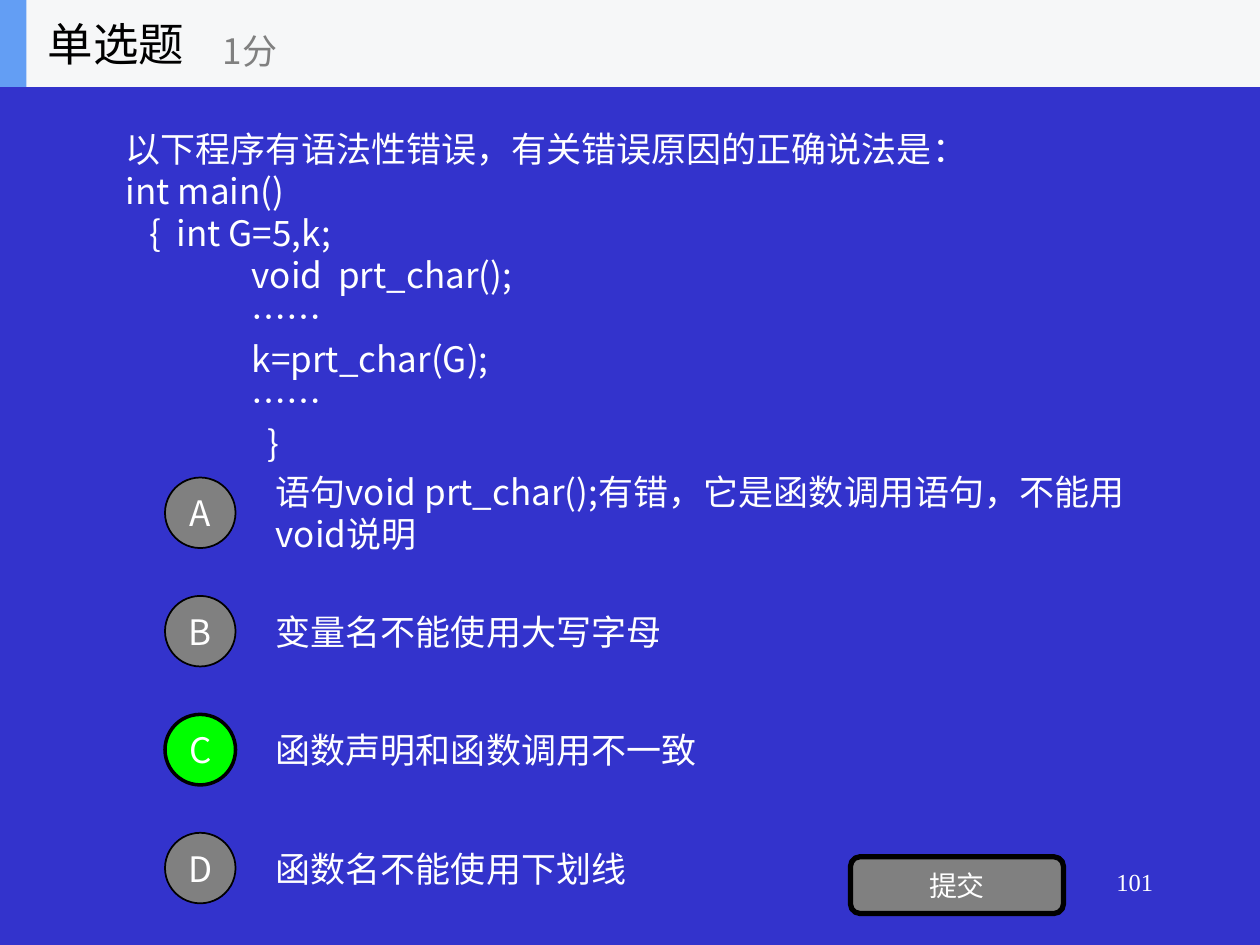
from dataclasses import dataclass

from lxml import etree
from pptx import Presentation
from pptx.dml.color import RGBColor
from pptx.enum.shapes import MSO_SHAPE
from pptx.enum.text import MSO_ANCHOR, PP_ALIGN
from pptx.oxml.ns import qn
from pptx.util import Inches, Pt

OVAL, RECT, ROUND = MSO_SHAPE.OVAL, MSO_SHAPE.RECTANGLE, MSO_SHAPE.ROUNDED_RECTANGLE
LEFT, CENTER, RIGHT = PP_ALIGN.LEFT, PP_ALIGN.CENTER, PP_ALIGN.RIGHT
TOP, MIDDLE = MSO_ANCHOR.TOP, MSO_ANCHOR.MIDDLE

BLUE = RGBColor(0x33, 0x33, 0xCC)
WHITE = RGBColor(0xFF, 0xFF, 0xFF)
BLACK = RGBColor(0, 0, 0)
GRAY = RGBColor(0x80, 0x80, 0x80)
GREEN = RGBColor(0, 0xFF, 0)
PALE = RGBColor(0xF6, 0xF7, 0xF8)
SKY = RGBColor(0x63, 0x9E, 0xF4)
SANS, SERIF = "Noto Sans CJK SC", "Times New Roman"


@dataclass
class Box:
    x: float
    y: float
    w: float
    h: float

    def lengths(self) -> tuple:
        return tuple(Inches(v) for v in (self.x, self.y, self.w, self.h))


@dataclass
class Style:
    size: int = 20
    color: RGBColor = WHITE
    face: str = SANS
    align: PP_ALIGN = LEFT
    anchor: MSO_ANCHOR = MIDDLE


@dataclass
class Line:
    text: str
    indent: float = 0


@dataclass
class Choice:
    key: str
    text: str
    right: bool = False


PROMPT = [
    Line("以下程序有语法性错误，有关错误原因的正确说法是："),
    Line("int main()"),
    Line("   {  int G=5,k;"),
    Line("void  prt_char();", 1),
    Line("……", 1),
    Line("k=prt_char(G);", 1),
    Line("……", 1),
    Line("  }", 1),
]
CHOICES = [
    Choice("A", "语句void prt_char();有错，它是函数调用语句，不能用void说明"),
    Choice("B", "变量名不能使用大写字母"),
    Choice("C", "函数声明和函数调用不一致", True),
    Choice("D", "函数名不能使用下划线"),
]
STEP = 0.94


def write(frame, lines: list[Line], style: Style) -> None:
    frame.word_wrap = True
    frame.vertical_anchor = style.anchor
    for i, line in enumerate(lines):
        para = frame.add_paragraph() if i else frame.paragraphs[0]
        para.text = line.text
        para.alignment = style.align
        para.line_spacing = Pt(style.size * 1.2)
        if line.indent:
            para._p.get_or_add_pPr().set("marL", str(Inches(line.indent)))
        font = para.font
        font.size = Pt(style.size)
        font.color.rgb = style.color
        font.name = style.face
        etree.SubElement(font._element, qn("a:ea")).set("typeface", style.face)


def label(slide, box: Box, lines: list[Line], style: Style) -> None:
    write(slide.shapes.add_textbox(*box.lengths()).text_frame, lines, style)


def block(slide, kind: MSO_SHAPE, box: Box, fill: RGBColor, edge: int = 0):
    """Add a filled shape; edge is the black outline in points, 0 for none."""
    shape = slide.shapes.add_shape(kind, *box.lengths())
    shape.shadow.inherit = False
    shape.fill.solid()
    shape.fill.fore_color.rgb = fill
    if edge:
        shape.line.color.rgb = BLACK
        shape.line.width = Pt(edge)
    else:
        shape.line.fill.background()
    return shape


def button(slide, kind: MSO_SHAPE, box: Box, fill: RGBColor, edge: int,
           text: str, size: int) -> None:
    frame = block(slide, kind, box, fill, edge).text_frame
    frame.margin_left = frame.margin_right = 0
    frame.margin_top = frame.margin_bottom = 0
    write(frame, [Line(text)], Style(size, align=CENTER))


def main() -> None:
    deck = Presentation()
    deck.slide_width, deck.slide_height = Inches(10), Inches(7.5)
    slide = deck.slides.add_slide(deck.slide_layouts[6])
    slide.background.fill.solid()
    slide.background.fill.fore_color.rgb = BLUE

    label(slide, Box(7.17, 6.83, 2.08, 0.5), [Line("101")],
          Style(14, face=SERIF, align=RIGHT, anchor=TOP))
    label(slide, Box(0.9, 0.9, 8, 2.89), PROMPT, Style())
    for i, item in enumerate(CHOICES):
        top = 3.72 + i * STEP
        label(slide, Box(2.09, top, 7, 0.7), [Line(item.text)], Style())
        fill, edge = (GREEN, 2) if item.right else (GRAY, 1)
        button(slide, OVAL, Box(1.31, top + 0.07, 0.56, 0.56), fill, edge, item.key, 20)
    button(slide, ROUND, Box(6.75, 6.8, 1.69, 0.45), GRAY, 3, "提交", 16)

    block(slide, RECT, Box(0, 0, 10, 0.69), PALE)
    block(slide, RECT, Box(0, 0, 0.21, 0.69), SKY)
    label(slide, Box(0.28, 0, 2.08, 0.69), [Line("单选题")], Style(26, BLACK))
    label(slide, Box(1.67, 0.12, 2.5, 0.56), [Line("1分")], Style(20, GRAY))
    deck.save("out.pptx")


if __name__ == "__main__":
    main()
